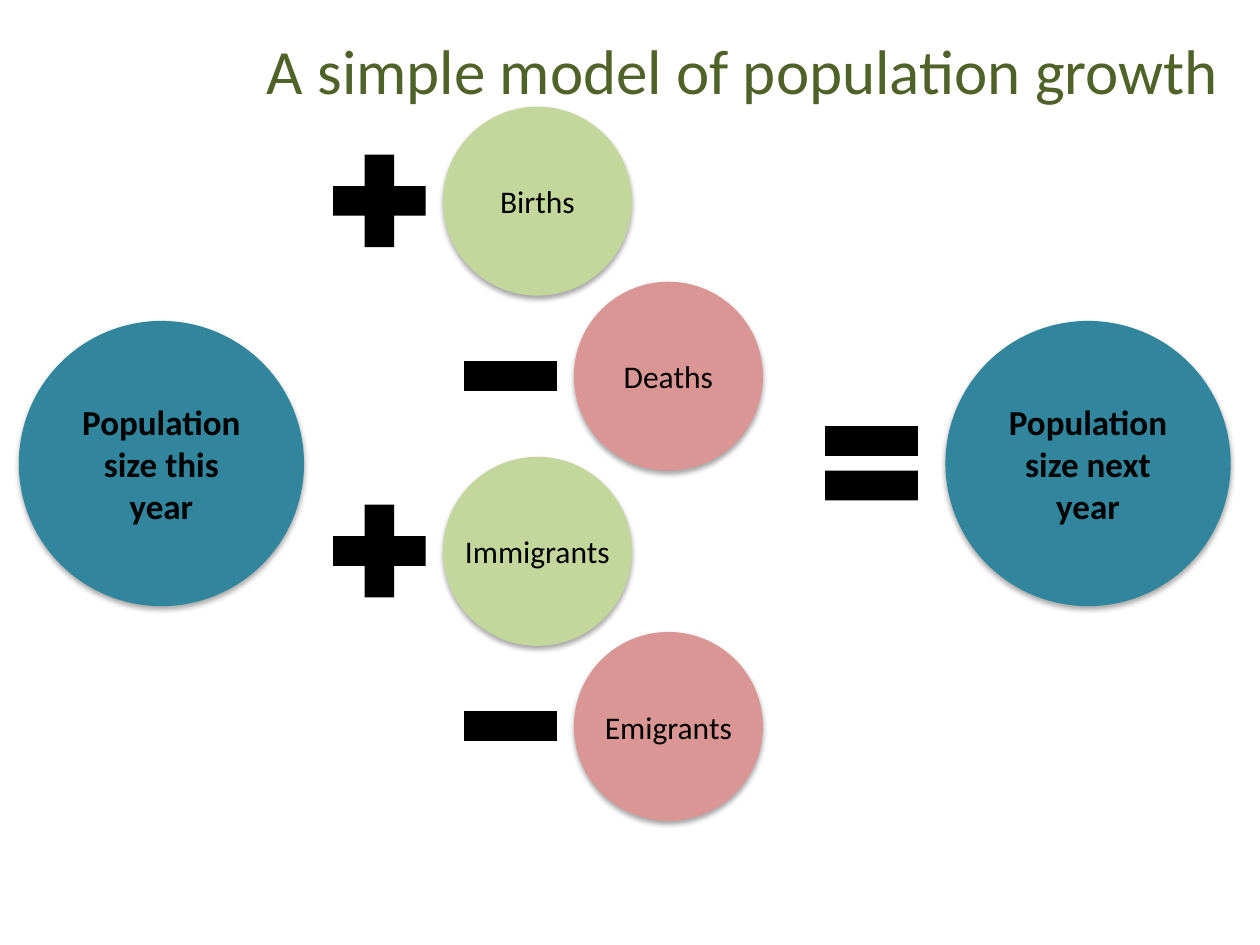
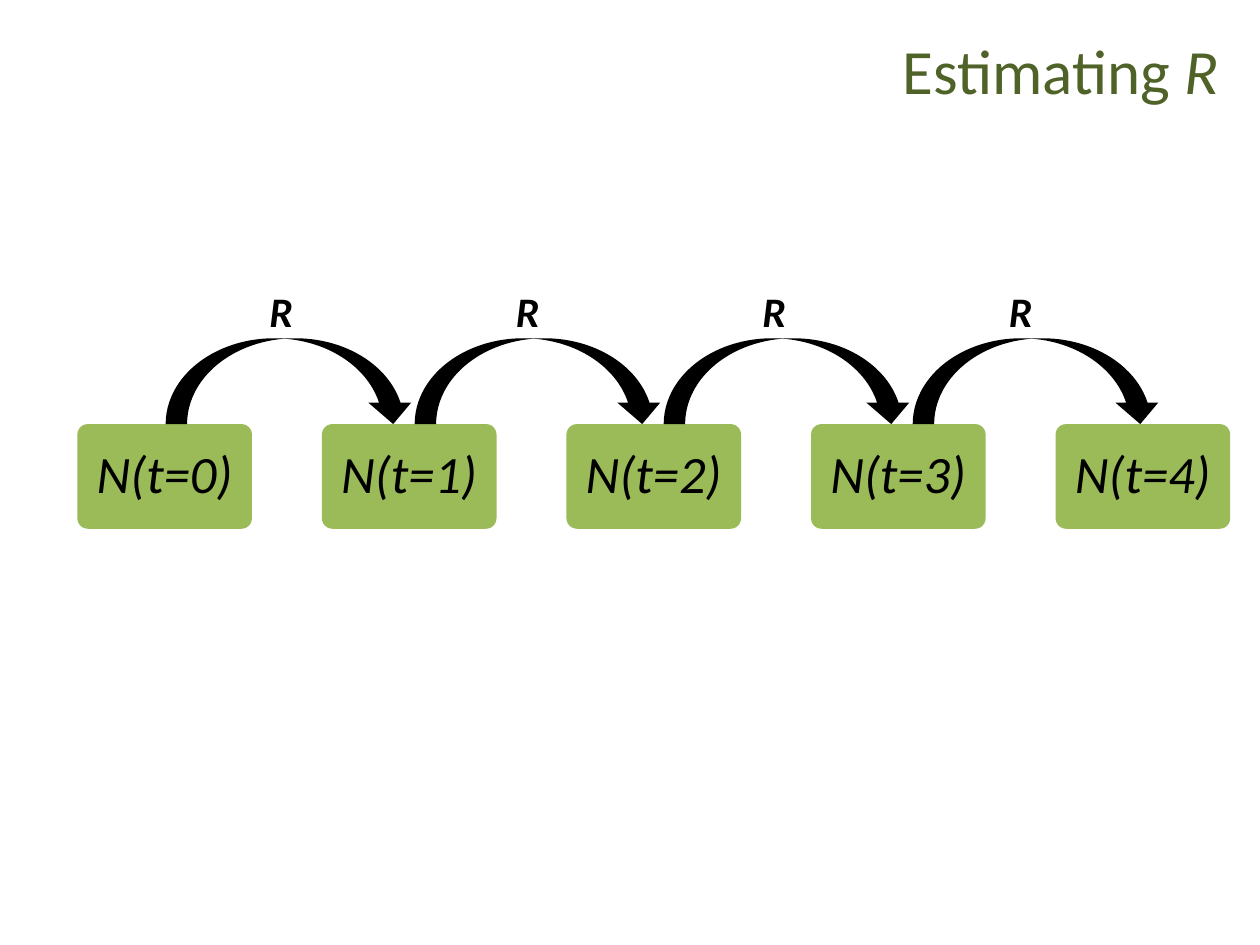
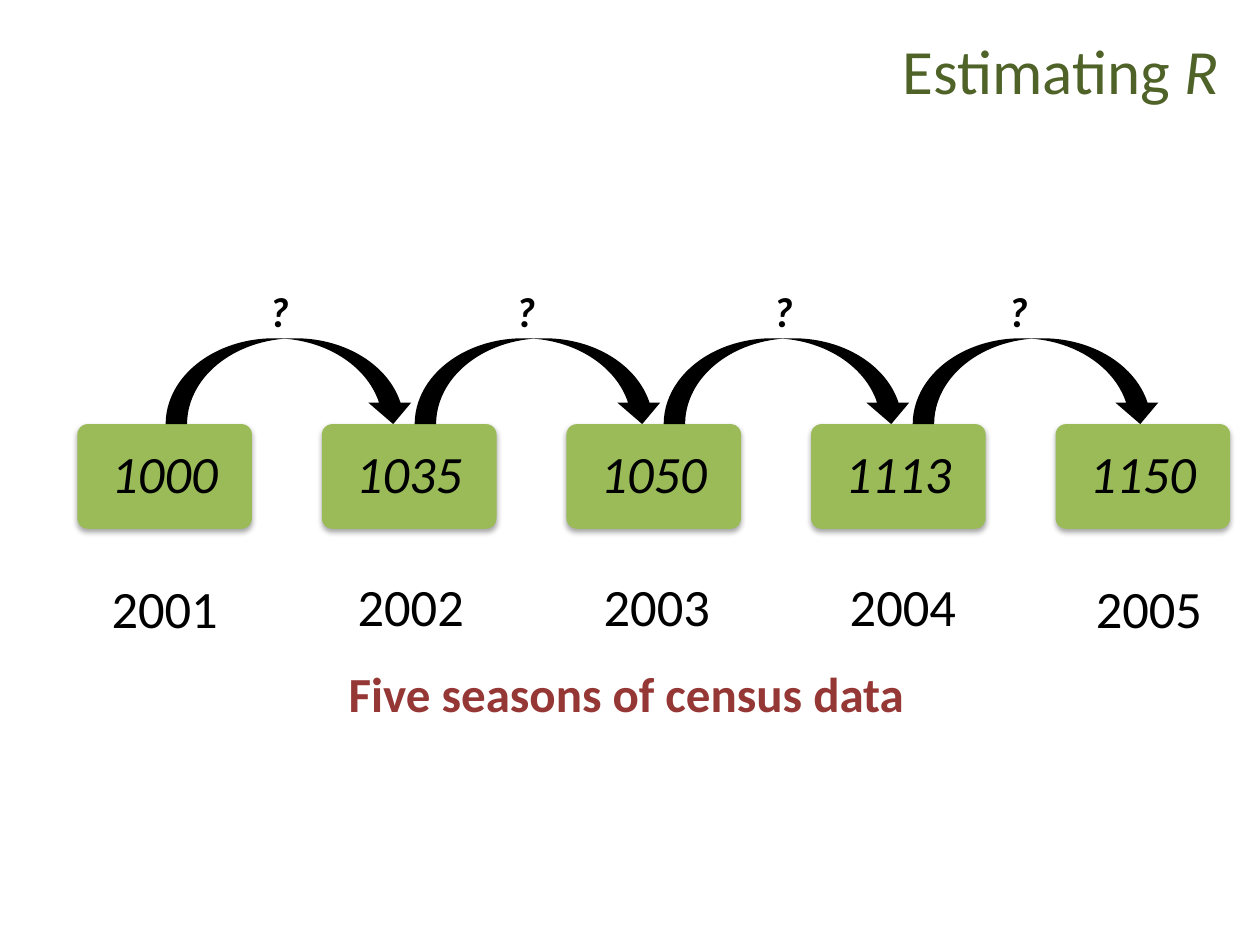
from pptx import Presentation
from pptx.dml.color import RGBColor
from pptx.enum.shapes import MSO_SHAPE
from pptx.enum.text import MSO_ANCHOR, MSO_AUTO_SIZE, PP_ALIGN
from pptx.util import Cm, Pt

FONT = "Calibri"
BLACK = RGBColor(0x00, 0x00, 0x00)
DARK_GREEN = RGBColor(0x4F, 0x62, 0x28)
GREEN = RGBColor(0x9B, 0xBB, 0x59)
LIGHT_GREEN = RGBColor(0xC3, 0xD6, 0x9B)
PINK = RGBColor(0xD9, 0x96, 0x94)
TEAL = RGBColor(0x31, 0x85, 0x9C)
DARK_RED = RGBColor(0x95, 0x37, 0x35)

CIRCLE = MSO_SHAPE.OVAL
ROUNDED = MSO_SHAPE.ROUNDED_RECTANGLE
ARC_ARROW = MSO_SHAPE.CURVED_DOWN_ARROW
PLUS = MSO_SHAPE.MATH_PLUS
MINUS = MSO_SHAPE.MATH_MINUS
EQUAL = MSO_SHAPE.MATH_EQUAL
LEFT, CENTER, RIGHT = PP_ALIGN.LEFT, PP_ALIGN.CENTER, PP_ALIGN.RIGHT
MIDDLE = MSO_ANCHOR.MIDDLE
NO_FIT, GROW = MSO_AUTO_SIZE.NONE, MSO_AUTO_SIZE.SHAPE_TO_FIT_TEXT

TITLE_ONLY = 5
SIGN_SIZE = 2.54


class Painter:
    """Holds the deck's style and the slide being drawn; lengths are in cm."""

    def __init__(self, deck):
        self.deck = deck
        self.page = None

    def style(self, para, size, color=BLACK, bold=False, italic=None, align=CENTER):
        para.alignment = align
        font = para.font
        font.name, font.size, font.bold = FONT, Pt(size), bold
        font.italic = italic
        font.color.rgb = color

    def new_page(self, title, italic_end=""):
        self.page = self.deck.slides.add_slide(self.deck.slide_layouts[TITLE_ONLY])
        box = self.page.shapes.title
        box.left, box.top, box.width, box.height = Cm(0.74), Cm(0.3), Cm(24.08), Cm(2.18)
        frame = box.text_frame
        frame.auto_size = NO_FIT
        frame.vertical_anchor = MIDDLE
        para = frame.paragraphs[0]
        self.style(para, 36, DARK_GREEN, align=RIGHT)
        para.add_run().text = title
        if italic_end:
            span = para.add_run()
            span.text = italic_end
            span.font.italic = True

    def group(self):
        return self.page.shapes.add_group_shape()

    def shape(self, kind, left, top, width, height, fill, shadow=False, parent=None):
        shapes = (parent or self.page).shapes
        shape = shapes.add_shape(kind, Cm(left), Cm(top), Cm(width), Cm(height))
        shape.fill.solid()
        shape.fill.fore_color.rgb = fill
        shape.line.fill.background()
        if not shadow:
            shape.shadow.inherit = False
        return shape

    def sign(self, kind, left, top, parent):
        self.shape(kind, left, top, SIGN_SIZE, SIGN_SIZE, BLACK, parent=parent)

    def circle(self, text, left, top, size, fill, font_size, bold=False, wrap=True,
               parent=None):
        shape = self.shape(CIRCLE, left, top, size, size, fill, True, parent)
        frame = shape.text_frame
        frame.word_wrap = wrap
        frame.text = text
        self.style(frame.paragraphs[0], font_size, bold=bold)

    def card(self, text, left, shadow):
        shape = self.shape(ROUNDED, left, 8.55, 3.52, 2.11, GREEN, shadow)
        shape.adjustments[0] = 0.1
        frame = shape.text_frame
        frame.margin_left = frame.margin_right = Cm(0.38)
        frame.margin_top = frame.margin_bottom = Cm(0.38)
        frame.word_wrap = False
        frame.text = text
        para = frame.paragraphs[0]
        self.style(para, 30, italic=True)
        para.line_spacing = 0.9

    def label(self, text, left, top, width, height, size, **look):
        box = self.page.shapes.add_textbox(Cm(left), Cm(top), Cm(width), Cm(height))
        frame = box.text_frame
        frame.word_wrap = False
        frame.auto_size = GROW
        frame.text = text
        self.style(frame.paragraphs[0], size, align=LEFT, **look)

    def timeline(self, states, step_text, step_lefts, step_width, shadow):
        """Five states joined by four curved arrows, each with a label."""
        for index, state in enumerate(states):
            self.card(state, 1.56 + 4.93 * index, shadow)
        for index, left in enumerate(step_lefts):
            self.shape(ARC_ARROW, 3.34 + 5.02 * index, 6.82, 5.02, 1.73, BLACK)
            self.label(step_text, left, 5.63, step_width, 1.27, 24, bold=True, italic=True)


def growth_model(painter):
    painter.new_page("A simple model of population growth")

    # Population before and after
    painter.circle("Population size this year", 0.38, 6.47, 5.75, TEAL, 20, bold=True)
    result = painter.group()
    painter.circle("Population size next year", 19.06, 6.47, 5.75, TEAL, 20, bold=True,
                   parent=result)
    painter.sign(EQUAL, 16.3, 8.07, result)

    # Gains on the left, losses on the right
    for index, name in enumerate(("Births", "Deaths", "Immigrants", "Emigrants")):
        gain = index % 2 == 0
        left = 8.93 if gain else 11.57
        top = 2.15 + 3.53 * index
        term = painter.group()
        painter.circle(name, left, top, 3.81, LIGHT_GREEN if gain else PINK, 18,
                       wrap=False, parent=term)
        painter.sign(PLUS if gain else MINUS, left - 2.55, top + 0.63, term)


def growth_steps(painter):
    painter.new_page("Estimating ", "R")
    painter.timeline([f"N(t={time})" for time in range(5)], "R",
                     [5.18 + 4.97 * index for index in range(4)], 1.19, shadow=False)


def census_data(painter):
    painter.new_page("Estimating ", "R")
    painter.timeline(("1000", "1035", "1050", "1113", "1150"), "?",
                     (5.18, 10.15, 15.34, 20.08), 1.12, shadow=True)

    # Years and caption
    painter.label("Five seasons of census data", 6.78, 13.26, 11.86, 1.45, 28,
                  color=DARK_RED, bold=True)
    for index, top in enumerate((11.48, 11.44, 11.44, 11.44, 11.48)):
        painter.label(str(2001 + index), 2 + 4.96 * index, top, 2.67, 1.55, 30)


def main():
    deck = Presentation()
    deck.slide_width, deck.slide_height = Cm(25.4), Cm(19.05)
    painter = Painter(deck)
    growth_model(painter)
    growth_steps(painter)
    census_data(painter)
    deck.save("out.pptx")


if __name__ == "__main__":
    main()
